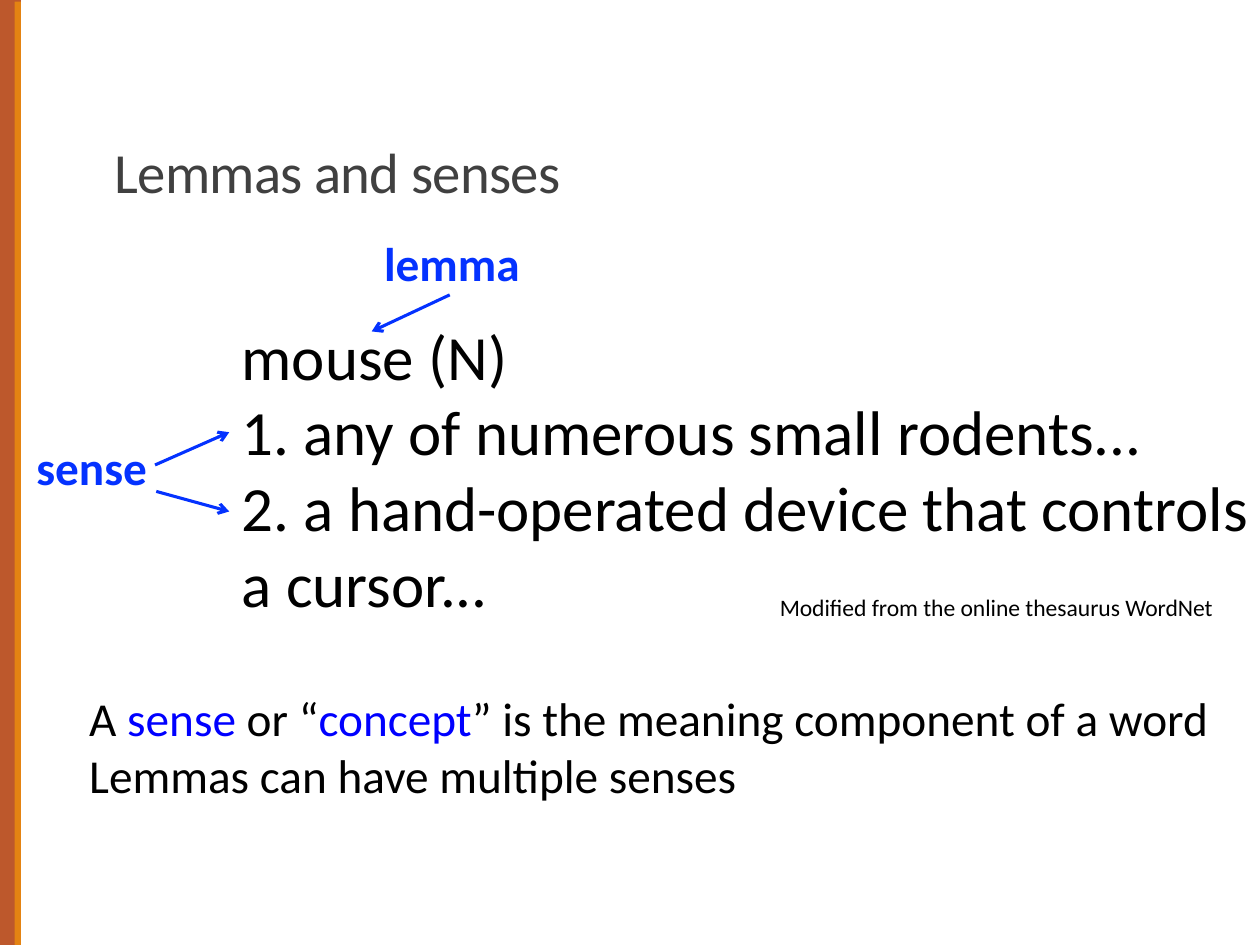
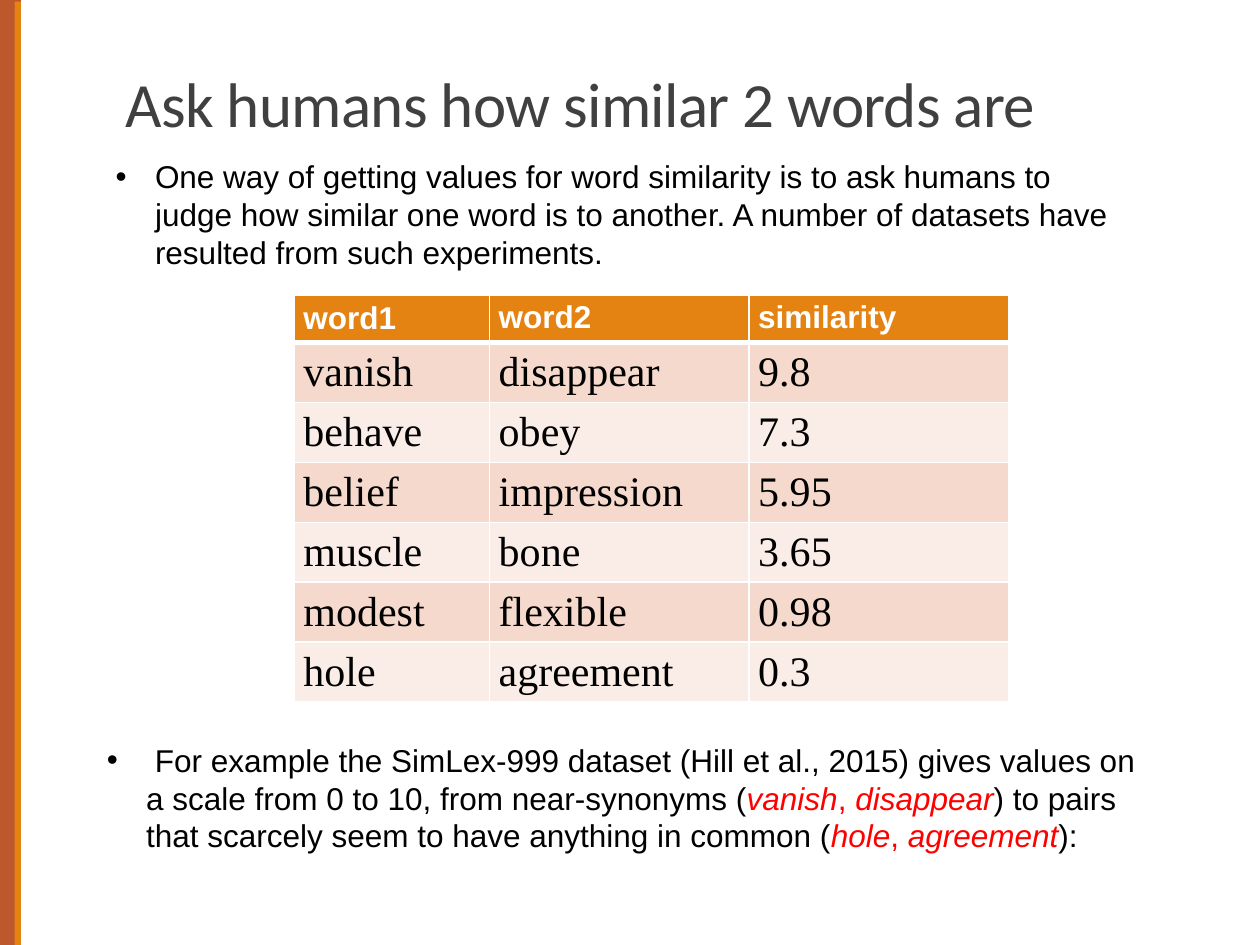
from dataclasses import dataclass

from lxml import etree
from pptx import Presentation
from pptx.dml.color import RGBColor
from pptx.enum.shapes import MSO_CONNECTOR, MSO_SHAPE
from pptx.enum.text import MSO_ANCHOR, MSO_AUTO_SIZE
from pptx.oxml.ns import qn
from pptx.util import Pt

RECT = MSO_SHAPE.RECTANGLE
LINE = MSO_CONNECTOR.STRAIGHT
TOP, MIDDLE, BOTTOM = MSO_ANCHOR.TOP, MSO_ANCHOR.MIDDLE, MSO_ANCHOR.BOTTOM
GROW = MSO_AUTO_SIZE.SHAPE_TO_FIT_TEXT


@dataclass(frozen=True)
class Theme:
    rust: str = "BD582C"
    orange: str = "E48312"
    gray: str = "404040"
    black: str = "000000"
    white: str = "FFFFFF"
    label: str = "0432FF"
    term: str = "0000FF"
    red: str = "FF0000"
    bands: tuple = ("F5D9CC", "FAEDE7")
    main: str = "Calibri"
    plain: str = "Arial"
    serif: str = "Times New Roman"
    note: float = 13.5
    body: float = 18
    cell: float = 24
    large: float = 27
    small_title: float = 32.4
    huge: float = 36


def color(code):
    return RGBColor.from_string(code)


def add(parent, tag, **attrs):
    return etree.SubElement(parent, qn(tag), attrs)


class Deck:
    def __init__(self, theme):
        self.theme = theme
        self.prs = Presentation()
        self.prs.slide_width, self.prs.slide_height = Pt(720), Pt(540)
        self.slide = None

    def page(self, title, box, size):
        """Start a slide with the side bands and a title."""
        t = self.theme
        self.slide = self.prs.slides.add_slide(self.prs.slide_layouts[6])
        self.band(0, 0, 12, t.rust)
        self.band(8.4, 1, 3.6, t.orange)
        frame = self.text(box, [[title]], size, tint=t.gray)
        frame.auto_size = MSO_AUTO_SIZE.NONE
        frame.vertical_anchor = BOTTOM
        para = frame.paragraphs[0]
        para.line_spacing = 0.85
        para.runs[0]._r.get_or_add_rPr().set("spc", "-40")

    def band(self, left, top, width, tint):
        shape = self.slide.shapes.add_shape(
            RECT, Pt(left), Pt(top), Pt(width), Pt(540 - top))
        shape.shadow.inherit = False
        shape.fill.solid()
        shape.fill.fore_color.rgb = color(tint)
        shape.line.fill.background()

    def style(self, run, size, face, tint, bold=False, slant=False):
        font = run.font
        font.size, font.name = Pt(size), face
        font.bold, font.italic = bold, slant
        font.color.rgb = color(tint)

    def text(self, box, paras, size, face=None, tint=None, bold=False,
             wrap=True, bullet=False):
        """Each paragraph lists strings or (string, colour, italic) parts."""
        t = self.theme
        frame = self.slide.shapes.add_textbox(*map(Pt, box)).text_frame
        frame.word_wrap = wrap
        frame.auto_size = GROW
        for i, parts in enumerate(paras):
            para = frame.add_paragraph() if i else frame.paragraphs[0]
            if bullet:
                self.bullet(para)
            for j, part in enumerate(parts):
                words, hue, slant = (
                    (part, tint or t.black, False) if isinstance(part, str) else part)
                if j:
                    para.add_run().text = words
                else:
                    para.text = words
                for run in para.runs[j:]:
                    self.style(run, size, face or t.main, hue, bold, slant)
        return frame

    def bullet(self, para):
        props = para._p.get_or_add_pPr()
        props.set("marL", str(Pt(22.5)))
        props.set("indent", str(-Pt(22.5)))
        add(props, "a:buFont", typeface=self.theme.plain)
        add(props, "a:buChar", char="•")

    def label(self, words, box):
        t = self.theme
        self.text(box, [[words]], t.large, tint=t.label, bold=True, wrap=False)

    def arrow(self, *ends):
        link = self.slide.shapes.add_connector(LINE, *map(Pt, ends))
        link.line.color.rgb = color(self.theme.label)
        link.line.width = Pt(1.75)
        add(link.line._get_or_add_ln(), "a:tailEnd", type="arrow")
        add(link._element.spPr, "a:effectLst")

    def table(self, left, top, widths, heights, rows):
        t = self.theme
        grid = self.slide.shapes.add_table(
            len(rows), len(widths), Pt(left), Pt(top),
            Pt(sum(widths)), Pt(sum(heights))).table
        for col, width in zip(grid.columns, widths):
            col.width = Pt(width)
        for r, (row, height) in enumerate(zip(rows, heights)):
            grid.rows[r].height = Pt(height)
            for c, words in enumerate(row):
                cell = grid.cell(r, c)
                self.edges(cell, 3 if r == 1 else 1, 1 if r else 3)
                cell.fill.solid()
                tint = t.bands[(r - 1) % 2] if r else t.orange
                cell.fill.fore_color.rgb = color(tint)
                cell.margin_left = cell.margin_right = Pt(5.4)
                cell.margin_top = cell.margin_bottom = Pt(2.7)
                cell.vertical_anchor = TOP if r == 0 and c else MIDDLE
                cell.text_frame.text = words
                run = cell.text_frame.paragraphs[0].runs[0]
                if r:
                    self.style(run, t.cell, t.serif, t.black)
                else:
                    self.style(run, t.body, t.plain, t.white, bold=True)

    def edges(self, cell, top, low):
        props = cell._tc.get_or_add_tcPr()
        for side, width in zip("LRTB", (1, 1, top, low)):
            line = add(props, f"a:ln{side}", w=str(Pt(width)))
            fill = add(line, "a:solidFill")
            add(fill, "a:srgbClr", val=self.theme.white)


def senses(deck):
    t = deck.theme
    deck.page("Lemmas and senses", (58.3, 78.5, 544, 42.5), t.small_title)
    deck.text((131, 177.8, 596.2, 181.4), [[
        "mouse (N)\n1. any of numerous small rodents...\n"
        "2. a hand-operated device that controls a cursor..."]], t.huge)
    deck.label("sense", (13.7, 247, 78.5, 40.3))
    deck.label("lemma", (212.4, 130.3, 92.9, 40.3))
    deck.arrow(88.6, 265.7, 131, 247)
    deck.arrow(89.3, 280.8, 131, 292.3)
    deck.arrow(257, 168.5, 212.4, 189.4)
    deck.text((43.9, 390.2, 658.8, 72.7), [
        ["A ", ("sense", t.term, False), " or “", ("concept", t.term, False),
         "” is the meaning component of a word"],
        ["Lemmas can have multiple senses"]], t.large, wrap=False)
    deck.text((438.5, 335.5, 265.7, 23.8),
              [["Modified from the online thesaurus WordNet"]], t.note, wrap=False)


def ratings(deck):
    t = deck.theme
    deck.page("Ask humans how similar 2 words are", (64.8, 12.2, 594, 71.3), t.huge)
    deck.table(168, 168.5, (111.6, 148.3, 148.3), [27.4] + [34.2] * 6, [
        ("word1", "word2", "similarity"),
        ("vanish", "disappear", "9.8"),
        ("behave", "obey", "7.3"),
        ("belief", "impression", "5.95"),
        ("muscle", "bone", "3.65"),
        ("modest", "flexible", "0.98"),
        ("hole", "agreement", "0.3"),
    ])
    deck.text((59, 86.4, 594, 72.7), [[
        "One way of getting values for word similarity is to ask humans to judge "
        "how similar one word is to another. A number of datasets have resulted "
        "from such experiments."]], t.body, t.plain, bullet=True)
    comma = (", ", t.red, False)
    deck.text((54, 419.8, 604.8, 72.7), [[
        " For example the SimLex-999 dataset (Hill et al., 2015) gives values on "
        "a scale from 0 to 10, from near-synonyms (",
        ("vanish", t.red, True), comma, ("disappear", t.red, True),
        ") to pairs that scarcely seem to have anything in common (",
        ("hole", t.red, True), comma, ("agreement", t.red, True), "):",
    ]], t.body, t.plain, bullet=True)


def main():
    deck = Deck(Theme())
    senses(deck)
    ratings(deck)
    deck.prs.save("out.pptx")


if __name__ == "__main__":
    main()
